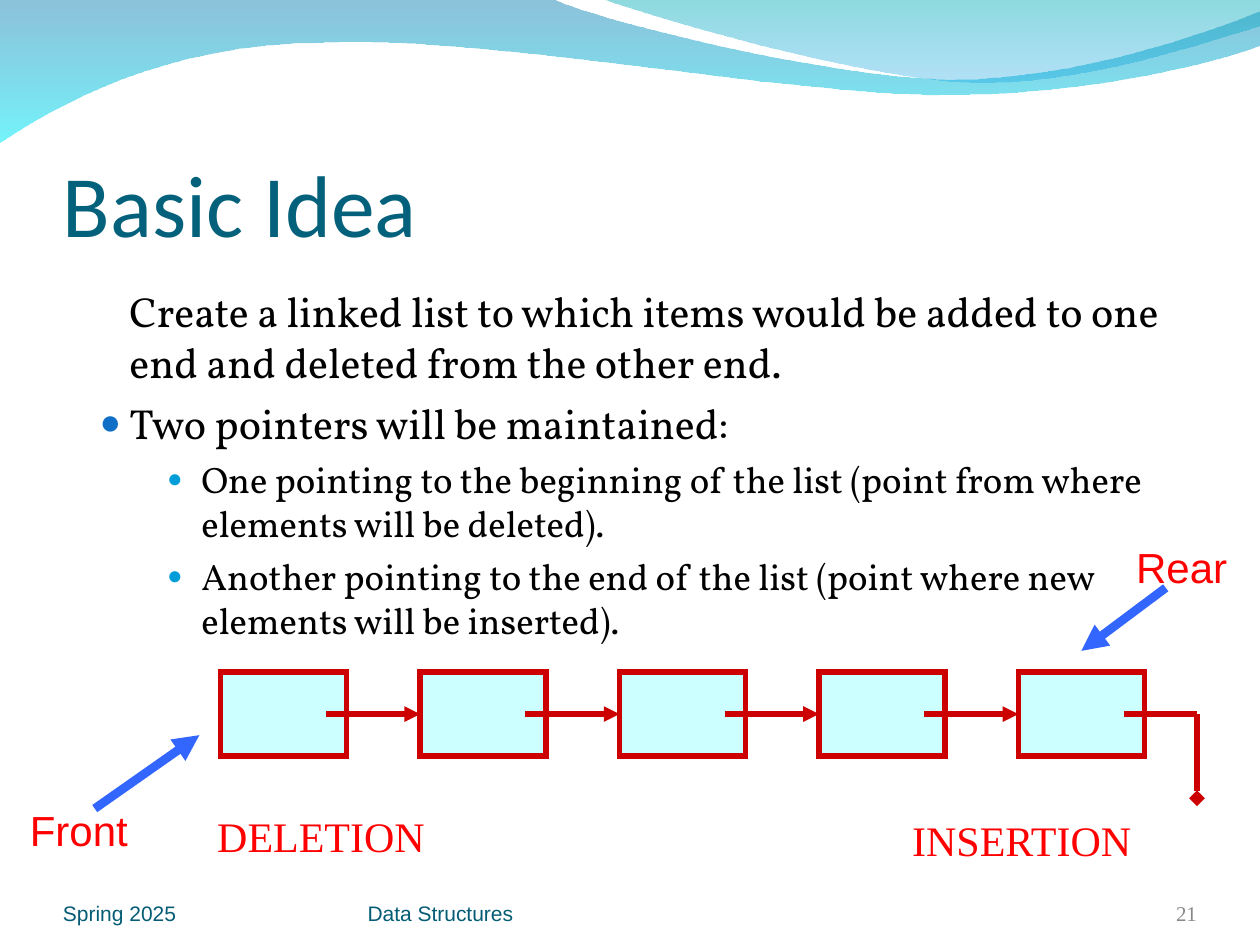
import pptx
import pptx.util
import pptx.dml.color
import pptx.enum.shapes
import pptx.enum.text
import pptx.oxml
import pptx.oxml.ns

Cm, Pt = pptx.util.Cm, pptx.util.Pt
ALIGN = pptx.enum.text.PP_ALIGN
ANCHOR = pptx.enum.text.MSO_ANCHOR
STRAIGHT = pptx.enum.shapes.MSO_CONNECTOR.STRAIGHT
RECTANGLE = pptx.enum.shapes.MSO_SHAPE.RECTANGLE

COLORS = {
    "title": "04617B", "body": "000000", "footer": "045C75", "number": "898989",
    "label": "FF0000", "node": "CCFFFF", "link": "CC0000", "pointer": "3366FF",
    "bullet": "0F6FC6", "sub_bullet": "009DD9",
    "deep_top": "0079AF", "deep_bottom": "00EBF8",
    "light_top": "00ADB6", "light_bottom": "009BE5",
}

WAVES = [
    {"start": (0, 0), "stops": [("deep_top", 45), ("deep_bottom", 55)], "segments": [
        [(11.18, 0)],
        [(12.09, 0.43), (16.87, 1.6), (19.25, 1.6)],
        [(21.67, 1.6), (24.33, 0.66), (25.4, 0.23)],
        [(25.4, 0.91)],
        [(24.97, 1.12), (22.1, 1.93), (18.95, 1.91)],
        [(15.8, 1.91), (9.7, 0.71), (6.53, 0.86)],
        [(3.28, 0.89), (1.17, 2.11), (0, 2.87)],
    ]},
    {"start": (12.17, 0), "stops": [("light_top", 45), ("light_bottom", 30)], "segments": [
        [(12.93, 0.28), (17.32, 1.57), (19.53, 1.65)],
        [(21.74, 1.75), (24.41, 0.81), (25.4, 0.53)],
        [(25.4, 0)],
    ]},
]

LEVELS = {
    "plain": {"size": 24, "margin": 1.09, "hang": 0, "before": 0, "bullet": None},
    "point": {"size": 24, "margin": 1.09, "hang": 0.6, "before": 6, "bullet": ("bullet", 85)},
    "sub": {"size": 21, "margin": 2.54, "hang": 0.69, "before": 5.2, "bullet": ("sub_bullet", 70)},
}
IDEAS = [
    ("plain", "Create a linked list to which items would be added to one end and deleted from the other end."),
    ("point", "Two pointers will be maintained:"),
    ("sub", "One pointing to the beginning of the list (point from where elements will be deleted)."),
    ("sub", "Another pointing to the end of the list (point where new elements will be inserted)."),
]
FOOTERS = [
    ("Spring 2025", 1.27, 5.92, "Arial", "footer", ALIGN.LEFT),
    ("Data Structures", 7.41, 9.32, "Arial", "footer", ALIGN.LEFT),
    ("21", 22.01, 2.12, "Times New Roman", "number", ALIGN.RIGHT),
]
POINTERS = [
    ("Front", (0, 16.09), (1.91, 16.3), (4.02, 14.82)),
    ("Rear", (22.23, 10.78), (23.5, 11.85), (21.8, 13.12)),
]
ENDS = [("DELETION", (4.13, 16.21), 4.7), ("INSERTION", (18.14, 16.29), 4.98)]

NODE_COUNT, NODE_LEFT, NODE_TOP, NODE_PITCH = 5, 4.45, 13.55, 4.02
NODE_WIDTH, NODE_HEIGHT, LINK_OFFSET = 2.54, 1.69, 2.12
NULL_X, NULL_Y = 24.13, 16.09


def rgb(name):
    return pptx.dml.color.RGBColor.from_string(COLORS[name])


def element(tag, **attributes):
    made = pptx.oxml.parse_xml(f"<a:{tag} {pptx.oxml.ns.nsdecls('a')}/>")
    for key, value in attributes.items():
        made.set(key, str(value))
    return made


def add_bullet(paragraph, level):
    properties = paragraph._p.get_or_add_pPr()
    properties.set("marL", str(Cm(level["margin"])))
    properties.set("indent", str(-Cm(level["hang"])))
    if not level["bullet"]:
        properties.append(element("buNone"))
        return
    color, percent = level["bullet"]
    bullet_color = element("buClr")
    bullet_color.append(element("srgbClr", val=COLORS[color]))
    properties.append(bullet_color)
    properties.append(element("buSzPct", val=percent * 1000))
    properties.append(element("buFont", typeface="Times New Roman"))
    properties.append(element("buChar", char="●"))


def add_text(slide, content, place, font="Arial", size=24, color="body", align=ALIGN.LEFT,
             anchor=ANCHOR.TOP, insets=(0.25, 0.13, 0.25, 0.13), wrap=True):
    frame = slide.shapes.add_textbox(*map(Cm, place)).text_frame
    frame.word_wrap, frame.vertical_anchor = wrap, anchor
    frame.margin_left, frame.margin_top, frame.margin_right, frame.margin_bottom = map(Cm, insets)
    entries = [(None, content)] if isinstance(content, str) else content
    for index, (level_name, text) in enumerate(entries):
        paragraph = frame.add_paragraph() if index else frame.paragraphs[0]
        level = LEVELS.get(level_name)
        if level:
            add_bullet(paragraph, level)
            if index:
                paragraph.space_before = Pt(level["before"])
        paragraph.alignment = align
        run = paragraph.add_run()
        run.text = text
        run.font.name, run.font.size = font, Pt(level["size"] if level else size)
        run.font.color.rgb = rgb(color)


def add_line(slide, start, end, color, width, tail=None):
    line = slide.shapes.add_connector(STRAIGHT, *map(Cm, start + end))
    line.line.color.rgb, line.line.width = rgb(color), Pt(width)
    if tail:
        line.line._get_or_add_ln().append(element("tailEnd", type=tail))
    line._element.spPr.append(element("effectLst"))
    return line


def bend_segments(shape, segments):
    corners = iter(list(shape._element.spPr.iter(pptx.oxml.ns.qn("a:lnTo"))))
    for controls in segments:
        first, *others = [next(corners) for _ in controls]
        if others:
            curve = element("cubicBezTo")
            first.addprevious(curve)
            for corner in (first, *others):
                curve.append(corner[0])
                corner.getparent().remove(corner)


def add_wave(slide, wave):
    builder = slide.shapes.build_freeform(*map(Cm, wave["start"]))
    corners = [tuple(map(Cm, point)) for controls in wave["segments"] for point in controls]
    builder.add_line_segments(corners, close=True)
    shape = builder.convert_to_shape()
    bend_segments(shape, wave["segments"])
    shape.shadow.inherit = False
    shape.line.fill.background()
    shape.fill.gradient()
    shape.fill.gradient_angle = 270
    for stop, (color, _) in zip(shape.fill.gradient_stops, wave["stops"]):
        stop.color.rgb = rgb(color)
    tints = shape._element.spPr.iter(pptx.oxml.ns.qn("a:srgbClr"))
    for tint, (_, opacity) in zip(list(tints), wave["stops"]):
        tint.append(element("alpha", val=opacity * 1000))


def add_linked_list(slide):
    lefts = [NODE_LEFT + index * NODE_PITCH for index in range(NODE_COUNT)]
    middle = NODE_TOP + NODE_HEIGHT / 2
    nodes = []
    for left in lefts:
        node = slide.shapes.add_shape(RECTANGLE, *map(Cm, (left, NODE_TOP, NODE_WIDTH, NODE_HEIGHT)))
        node.shadow.inherit = False
        node.fill.solid()
        node.fill.fore_color.rgb = rgb("node")
        node.line.color.rgb, node.line.width = rgb("link"), Pt(3)
        node.line._get_or_add_ln().append(element("miter", lim=800000))
        nodes.append(node)
    for left, next_left, next_node in zip(lefts, lefts[1:], nodes[1:]):
        link = add_line(slide, (left + LINK_OFFSET, middle), (next_left, middle), "link", 3, "triangle")
        link.end_connect(next_node, 1)
    add_line(slide, (lefts[-1] + LINK_OFFSET, middle), (NULL_X, middle), "link", 3)
    add_line(slide, (NULL_X, middle), (NULL_X, NULL_Y), "link", 3, "diamond")


def main():
    deck = pptx.Presentation()
    deck.slide_width, deck.slide_height = Cm(25.4), Cm(19.05)
    slide = deck.slides.add_slide(deck.slide_layouts[6])
    for wave in WAVES:
        add_wave(slide, wave)
    add_text(slide, "Basic Idea", (1.27, 1.96, 22.86, 3.18), font="Calibri", size=50,
             color="title", anchor=ANCHOR.BOTTOM, insets=(0, 0.13, 0, 0))
    add_text(slide, IDEAS, (1.27, 5.63, 22.86, 10.12), font="Vollkorn")
    for text, left, width, font, color, align in FOOTERS:
        add_text(slide, text, (left, 17.65, width, 1.02), font=font, size=12, color=color,
                 align=align, anchor=ANCHOR.BOTTOM, insets=(0, 0, 0, 0))
    add_linked_list(slide)
    for text, corner, start, end in POINTERS:
        add_text(slide, text, corner + (3.18, 1.27), color="label", align=ALIGN.CENTER)
        add_line(slide, start, end, "pointer", 5, "triangle")
    for text, corner, width in ENDS:
        add_text(slide, text, corner + (width, 1.27), font="Times New Roman", color="label", wrap=False)
    deck.save("out.pptx")


if __name__ == "__main__":
    main()
